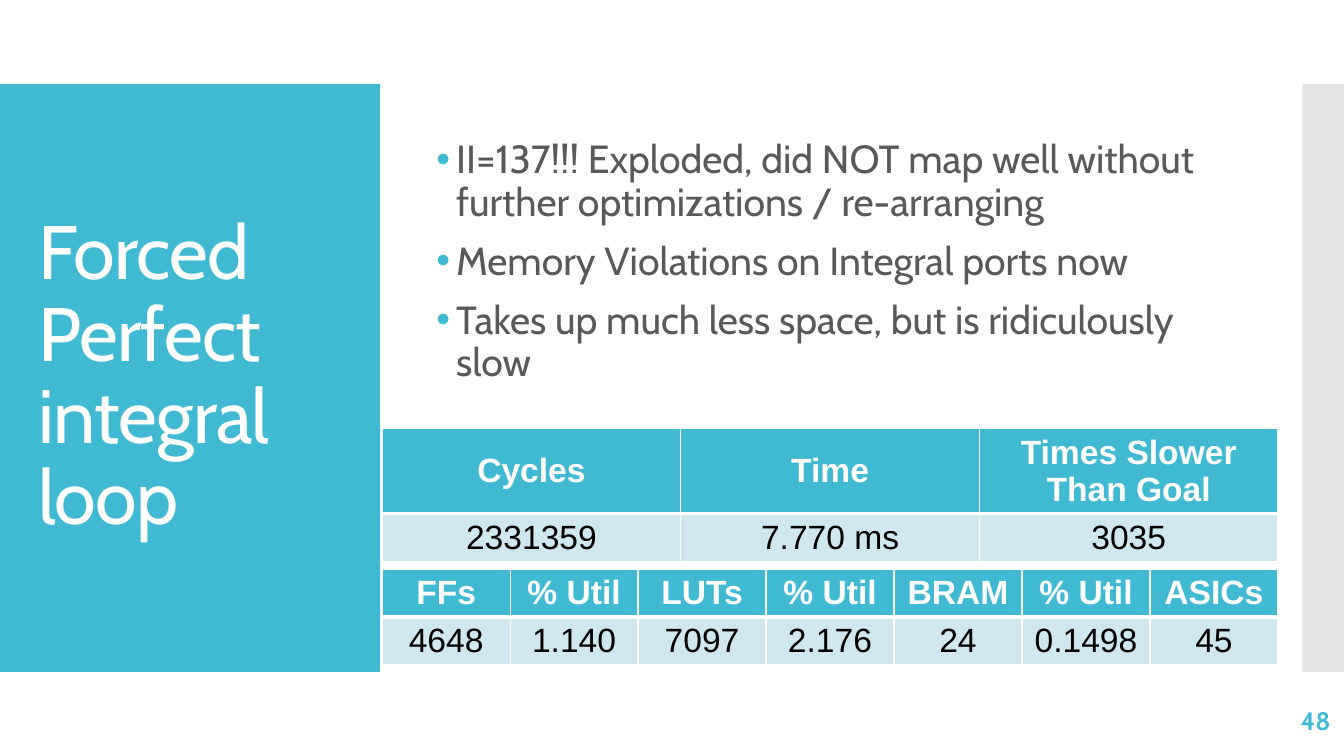
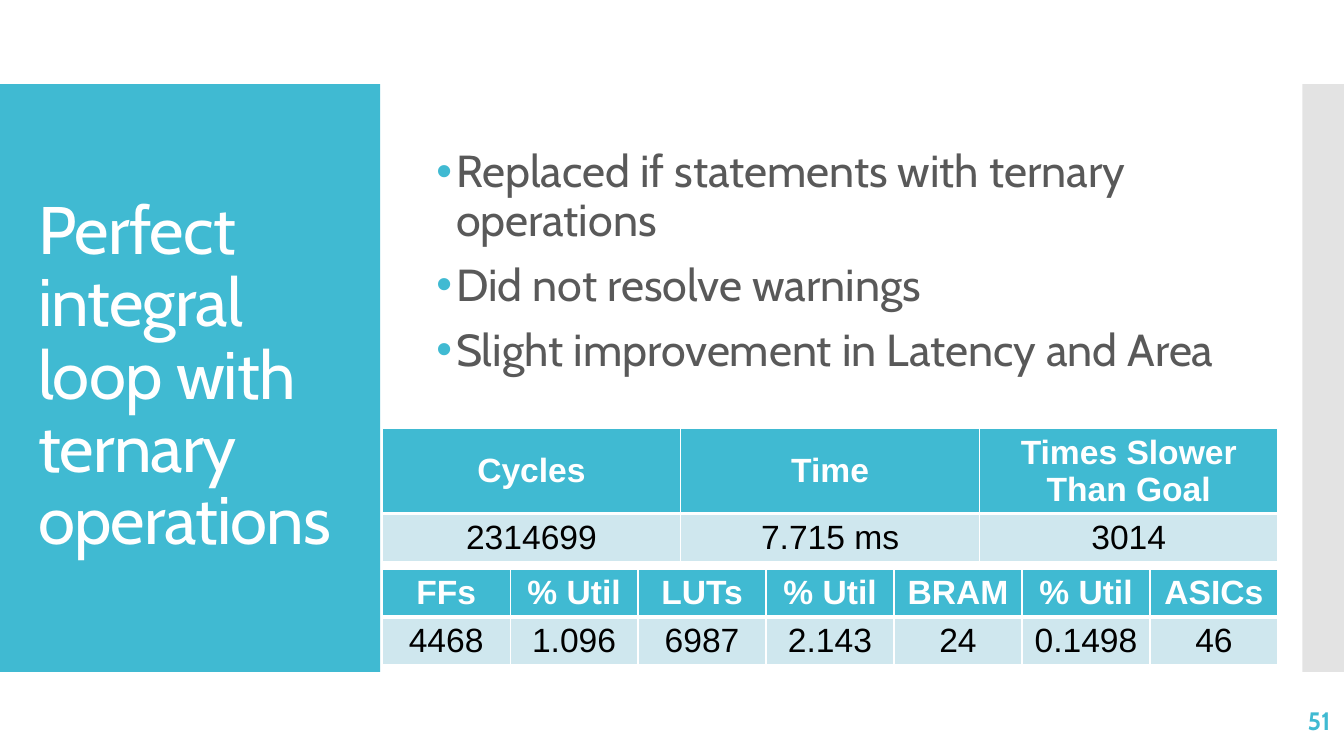
from lxml import etree
from pptx import Presentation
from pptx.dml.color import RGBColor
from pptx.enum import shapes, text
from pptx.oxml import ns
from pptx.util import Cm, Pt

TEAL, PALE, GREY, WHITE, INK, BLACK = "40BAD2", "CFE7EE", "C8C8C8", "FFFFFF", "595959", "000000"
HEAD_FONT, TABLE_FONT = "Cabin", "Arial"
BAND_TOP, BAND_HEIGHT = 2.12, 14.81
PANEL = (0, BAND_TOP, 9.58, BAND_HEIGHT)
EDGE = (32.82, BAND_TOP, 1.05, BAND_HEIGHT)
BODY = (10.74, 2.41, 20.32, 8.41)
RESULTS = (9.63, 10.8, 22.58)
NUMBER = (29.54, 17.65, 4.24, 1.02)
ROW = 1.2
SPEED_HEAD = ["Cycles", "Time", "Times Slower Than Goal"]
AREA_HEAD = ["FFs", "% Util", "LUTs", "% Util", "BRAM", "% Util", "ASICs"]

SLIDES = [
    dict(title="Forced Perfect integral loop", title_size=54, body_size=28, number="48",
         points=["II=137!!! Exploded, did NOT map well without further optimizations / re-arranging",
                 "Memory Violations on Integral ports now",
                 "Takes up much less space, but is ridiculously slow"],
         speed=["2331359", "7.770 ms", "3035"],
         area=["4648", "1.140", "7097", "2.176", "24", "0.1498", "45"]),
    dict(title="Perfect integral loop with ternary operations", title_size=48, body_size=32, number="51",
         points=["Replaced if statements with ternary operations",
                 "Did not resolve warnings",
                 "Slight improvement in Latency and Area"],
         speed=["2314699", "7.715 ms", "3014"],
         area=["4468", "1.096", "6987", "2.143", "24", "0.1498", "46"]),
]


def rgb(color):
    return RGBColor.from_string(color)


def child(parent, tag, **attrs):
    return etree.SubElement(parent, ns.qn(tag), attrs)


def place(sp, box):
    sp.left, sp.top, sp.width, sp.height = (Cm(v) for v in box)


def style(p, font, size, color, bold=False, align=text.PP_ALIGN.LEFT):
    p.alignment = align
    for r in p.runs:
        r.font.name, r.font.size, r.font.bold = font, Pt(size), bold
        r.font.color.rgb = rgb(color)


def set_frame(sp):
    tf = sp.text_frame
    tf.word_wrap = True
    tf.auto_size = text.MSO_AUTO_SIZE.NONE
    tf.vertical_anchor = text.MSO_ANCHOR.MIDDLE
    return tf


def add_band(s, box, color, alpha=None):
    sp = s.shapes.add_shape(shapes.MSO_SHAPE.RECTANGLE, *(Cm(v) for v in box))
    sp.shadow.inherit = False
    sp.fill.solid()
    sp.fill.fore_color.rgb = rgb(color)
    sp.line.fill.background()
    if alpha:
        fill = sp.element.spPr.find(ns.qn("a:solidFill"))
        child(fill[0], "a:alpha", val=str(alpha * 1000))
    s.shapes.element.insert(2, sp.element)


def add_title(s, box, title, size):
    x, y, w, h = box
    add_band(s, box, TEAL)
    sp = s.shapes.title
    place(sp, (x + 0.71, y + 1.01, w - 1.4, h - 2.03))
    tf = set_frame(sp)
    tf.text = title
    p = tf.paragraphs[0]
    p.line_spacing = 0.9
    style(p, HEAD_FONT, size, WHITE)
    p.runs[0].font.element.set("spc", "-60") if hasattr(p.runs[0].font, "element") else \
        p.runs[0]._r.get_or_add_rPr().set("spc", "-60")


def add_points(s, box, points, size):
    sp = s.placeholders[1]
    place(sp, box)
    tf = set_frame(sp)
    tf.text = "\n".join(points)
    for p in tf.paragraphs:
        p.line_spacing = 0.9
        p.space_before = Pt(12)
        style(p, HEAD_FONT, size, INK)
        pPr = p._p.get_or_add_pPr()
        pPr.set("marL", str(Cm(0.5)))
        pPr.set("indent", str(-Cm(0.5)))
        child(child(pPr, "a:buClr"), "a:srgbClr", val=TEAL)
        child(pPr, "a:buFont", typeface="Arial")
        child(pPr, "a:buChar", char="•")


def set_borders(cell, widths):
    tcPr = cell._tc.get_or_add_tcPr()
    for i, (side, width) in enumerate(widths.items()):
        ln = etree.Element(ns.qn("a:ln" + side), {"w": str(Pt(width))})
        child(child(ln, "a:solidFill"), "a:srgbClr", val=WHITE)
        tcPr.insert(i, ln)


def add_result_table(s, box, rows, heights):
    x, y, w = box
    table = s.shapes.add_table(len(rows), len(rows[0]), Cm(x), Cm(y), Cm(w), Cm(sum(heights))).table
    for row, height in zip(table.rows, heights):
        row.height = Cm(height)
    for i, values in enumerate(rows):
        head = i == 0
        for j, value in enumerate(values):
            cell = table.cell(i, j)
            cell.text = value
            cell.vertical_anchor = text.MSO_ANCHOR.MIDDLE
            cell.fill.solid()
            cell.fill.fore_color.rgb = rgb(TEAL if head else PALE)
            style(cell.text_frame.paragraphs[0], TABLE_FONT, 24, WHITE if head else BLACK,
                  head, text.PP_ALIGN.CENTER)
            set_borders(cell, {"L": 1, "R": 1, "T": 1 if head else 3, "B": 3 if head else 1})


def add_results(s, box, speed, area):
    x, y, w = box
    add_result_table(s, (x, y + 3.55, w), [AREA_HEAD, area], [ROW, ROW])
    add_result_table(s, box, [SPEED_HEAD, speed], [2.13, ROW])


def add_number(s, box, number):
    sp = s.shapes.add_textbox(*(Cm(v) for v in box))
    tf = set_frame(sp)
    tf.text = number
    style(tf.paragraphs[0], HEAD_FONT, 18, TEAL, True, text.PP_ALIGN.RIGHT)


def add_result_slide(prs, data):
    s = prs.slides.add_slide(prs.slide_layouts[1])
    add_band(s, EDGE, GREY, 50)
    add_title(s, PANEL, data["title"], data["title_size"])
    add_points(s, BODY, data["points"], data["body_size"])
    add_results(s, RESULTS, data["speed"], data["area"])
    add_number(s, NUMBER, data["number"])


def main():
    prs = Presentation()
    prs.slide_width, prs.slide_height = Cm(33.87), Cm(19.05)
    for data in SLIDES:
        add_result_slide(prs, data)
    prs.save("out.pptx")


if __name__ == "__main__":
    main()
